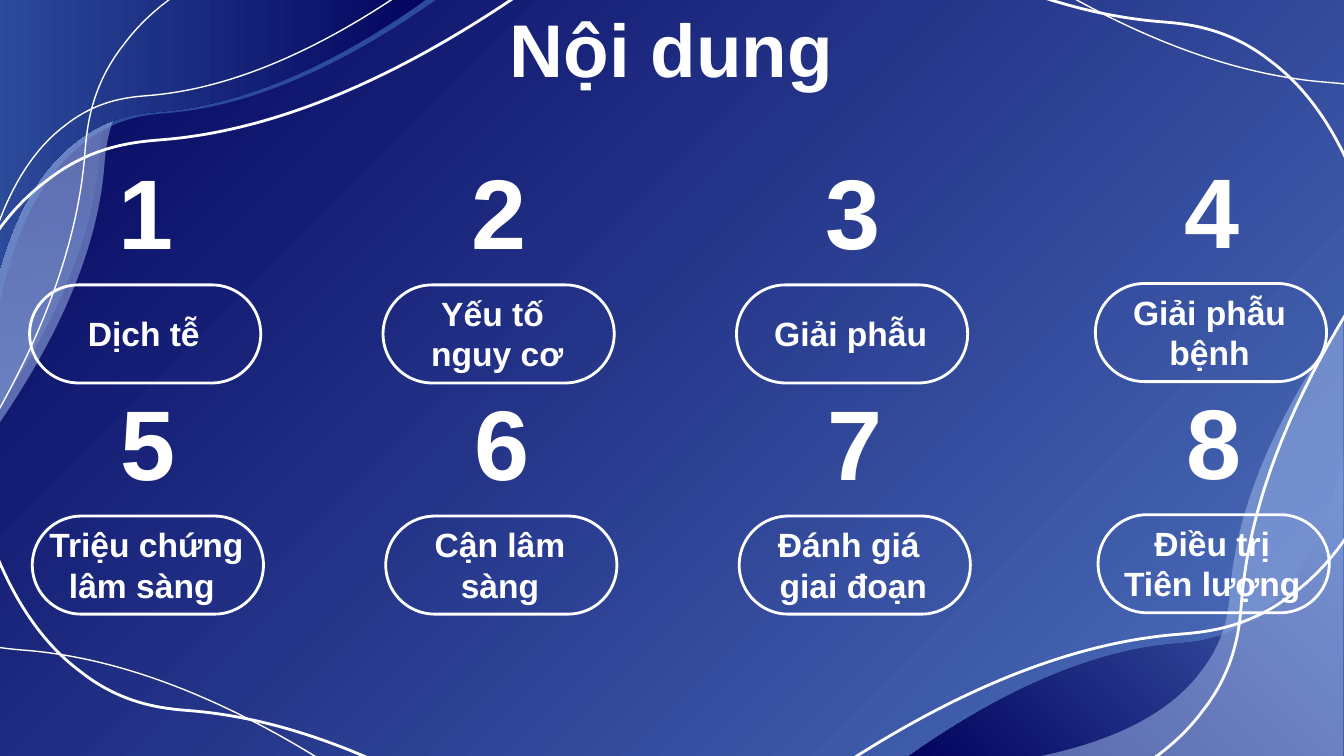
from dataclasses import dataclass

from pptx import Presentation
from pptx.dml.color import RGBColor
from pptx.enum.shapes import MSO_SHAPE
from pptx.enum.text import MSO_ANCHOR, MSO_AUTO_SIZE, PP_ALIGN
from pptx.oxml.xmlchemy import OxmlElement
from pptx.util import Emu, Pt

PILL = MSO_SHAPE.ROUNDED_RECTANGLE
TOP, MIDDLE = MSO_ANCHOR.TOP, MSO_ANCHOR.MIDDLE
CENTER = PP_ALIGN.CENTER
NO_AUTOFIT = MSO_AUTO_SIZE.NONE
EMU_PER_PX = 9144


@dataclass(frozen=True)
class Theme:
    font: str = "Arial"
    white: str = "FFFFFF"
    navy: str = "03045E"
    royal: str = "2D4B9B"
    blue: str = "4E72BE"
    pale: str = "A0B7E9"
    title_size: int = 40
    number_size: int = 53
    label_size: int = 18
    thin: float = 0.75
    thick: float = 1.5


THEME = Theme()


@dataclass(frozen=True)
class Wave:
    left: int
    top: int
    size: tuple[int, int]
    turn: int = 0
    mirrored: bool = False
    colors: tuple[str, ...] = ()
    angle: int = 0
    opacity: int = 100
    line: float = 0


@dataclass(frozen=True)
class Topic:
    number: str
    paragraphs: tuple[str, ...]


SMALL, MEDIUM, LARGE = (324, 225), (432, 300), (452, 313)
WAVE_UNITS = 1000
WAVE_POINTS = (
    (0, 0), (0, 1000), (1000, 1000),
    (725, 721), (524, 644), (389, 627),
    (349, 622), (272, 618), (194, 529),
    (77, 404), (25, 173), (0, 0),
)
WAVES = (
    Wave(-60, 42, SMALL, 90, colors=(THEME.blue, THEME.navy), angle=180, opacity=53),
    Wave(0, 0, SMALL, 180, True, colors=(THEME.royal,)),
    Wave(-56, 49, SMALL, 90, colors=(THEME.pale,), opacity=53),
    Wave(-6, -1, SMALL, 180, True, colors=(THEME.navy, THEME.royal)),
    Wave(-14, -13, SMALL, 180, True, line=THEME.thin),
    Wave(-53, -13, LARGE, 180, True, line=THEME.thick),
    Wave(-115, 15, MEDIUM, 90, line=THEME.thin),
    Wave(676, 338, SMALL, 0, True, colors=(THEME.blue, THEME.navy), angle=225),
    Wave(725, 288, SMALL, 270, colors=(THEME.pale,), opacity=53),
    Wave(598, 276, LARGE, 0, True, line=THEME.thick),
    Wave(670, 247, MEDIUM, 270, line=THEME.thick),
    Wave(720, -51, MEDIUM, 180, line=THEME.thin),
    Wave(597, -96, MEDIUM, 180, line=THEME.thick),
    Wave(-147, 296, MEDIUM, line=THEME.thin),
    Wave(-24, 341, MEDIUM, line=THEME.thick),
)
TOPICS = (
    Topic("1", ("Dịch tễ",)),
    Topic("2", ("Yếu tố ", "nguy cơ")),
    Topic("3", ("Giải phẫu",)),
    Topic("4", ("Giải phẫu bệnh",)),
    Topic("5", ("Triệu chứng lâm sàng ",)),
    Topic("6", ("Cận lâm sàng",)),
    Topic("7", ("Đánh giá \ngiai đoạn",)),
    Topic("8", ("Điều trị\nTiên lượng",)),
)
COLUMNS = ((22, 212), (285, 212), (548, 212), (815, 211))
ROW_STEP = (2, 172)


def px(length: int) -> Emu:
    """Turn px into EMU."""
    return Emu(length * EMU_PER_PX)


def rgb(color: str) -> RGBColor:
    """Turn a hex string into a colour."""
    return RGBColor.from_string(color)


def paint(fill, colors: tuple[str, ...], angle: int) -> None:
    """Fill with one colour, or with a gradient between two."""
    if len(colors) == 1:
        fill.solid()
        fill.fore_color.rgb = rgb(colors[0])
    else:
        fill.gradient()
        fill.gradient_angle = angle
        for stop, color in zip(fill.gradient_stops, colors):
            stop.color.rgb = rgb(color)


def set_opacity(shape, percent: int) -> None:
    """Make every fill colour of a shape translucent."""
    for color in shape.element.xpath("./p:spPr/a:solidFill/a:srgbClr | ./p:spPr/a:gradFill//a:srgbClr"):
        alpha = OxmlElement("a:alpha")
        alpha.set("val", str(percent * 1000))
        color.append(alpha)


def curve_outline(shape) -> None:
    """Join the points after the two straight edges into Bézier curves."""
    points = shape.element.xpath(".//a:path/a:lnTo")[2:]
    for first in range(0, len(points), 3):
        curve = OxmlElement("a:cubicBezTo")
        points[first].addprevious(curve)
        for point in points[first:first + 3]:
            curve.append(point[0])
            point.getparent().remove(point)


def outline(shape, width: float) -> None:
    """Leave a shape unfilled with a white line."""
    shape.fill.background()
    shape.line.color.rgb = rgb(THEME.white)
    shape.line.width = Pt(width)


def draw_wave(page, wave: Wave) -> None:
    """Draw one corner wave."""
    points = [(WAVE_UNITS - x if wave.mirrored else x, y) for x, y in WAVE_POINTS]
    scale = tuple(px(side) / WAVE_UNITS for side in wave.size)
    builder = page.shapes.build_freeform(*points[0], scale=scale)
    builder.add_line_segments(points[1:], close=True)
    shape = builder.convert_to_shape(px(wave.left), px(wave.top))
    curve_outline(shape)
    shape.rotation = wave.turn
    shape.shadow.inherit = False
    if wave.line:
        outline(shape, wave.line)
        return
    paint(shape.fill, wave.colors, wave.angle)
    shape.line.fill.background()
    if wave.opacity < 100:
        set_opacity(shape, wave.opacity)


def place(box, left: int, top: int, width: int, height: int) -> None:
    """Set the position and size of a box."""
    box.left, box.top, box.width, box.height = map(px, (left, top, width, height))


def write(box, paragraphs: tuple[str, ...], size: int, anchor, spacing: float = 1.0) -> None:
    """Write centred bold white paragraphs into a box."""
    frame = box.text_frame
    frame.word_wrap = True
    frame.auto_size = NO_AUTOFIT
    frame.vertical_anchor = anchor
    frame.margin_left = frame.margin_right = frame.margin_top = frame.margin_bottom = 0
    for index, text in enumerate(paragraphs):
        para = frame.add_paragraph() if index else frame.paragraphs[0]
        para.alignment = CENTER
        para.line_spacing = spacing
        para.space_before = Pt(0)
        for line_index, line in enumerate(text.split("\n")):
            if line_index:
                para.add_line_break()
            span = para.add_run()
            span.text = line
            span.font.name = THEME.font
            span.font.size = Pt(size)
            span.font.bold = True
            span.font.color.rgb = rgb(THEME.white)


def draw_topic(page, topic: Topic, left: int, top: int) -> None:
    """Draw a numbered topic with its label in a pill."""
    pill = page.shapes.add_shape(PILL, px(left), px(top), px(172), px(73))
    pill.adjustments[0] = 0.5
    pill.shadow.inherit = False
    outline(pill, THEME.thick)
    label = page.shapes.add_textbox(px(left + 6), px(top), px(158), px(72))
    write(label, topic.paragraphs, THEME.label_size, MIDDLE)
    number = page.shapes.add_textbox(px(left + 2), px(top - 100), px(169), px(132))
    write(number, (topic.number,), THEME.number_size, TOP)


def main() -> None:
    """Build the contents slide and save it."""
    deck = Presentation()
    deck.slide_width = px(1000)
    deck.slide_height = Emu(deck.slide_width * 9 // 16)
    page = deck.slides.add_slide(deck.slide_layouts[5])
    paint(page.background.fill, (THEME.blue, THEME.navy), 135)
    for wave in WAVES:
        draw_wave(page, wave)
    title = page.shapes.title
    place(title, 115, 10, 769, 116)
    write(title, ("Nội dung",), THEME.title_size, TOP, spacing=0.9)
    for index, topic in enumerate(TOPICS):
        row, column = divmod(index, len(COLUMNS))
        left, top = COLUMNS[column]
        draw_topic(page, topic, left + row * ROW_STEP[0], top + row * ROW_STEP[1])
    deck.save("out.pptx")


if __name__ == "__main__":
    main()
